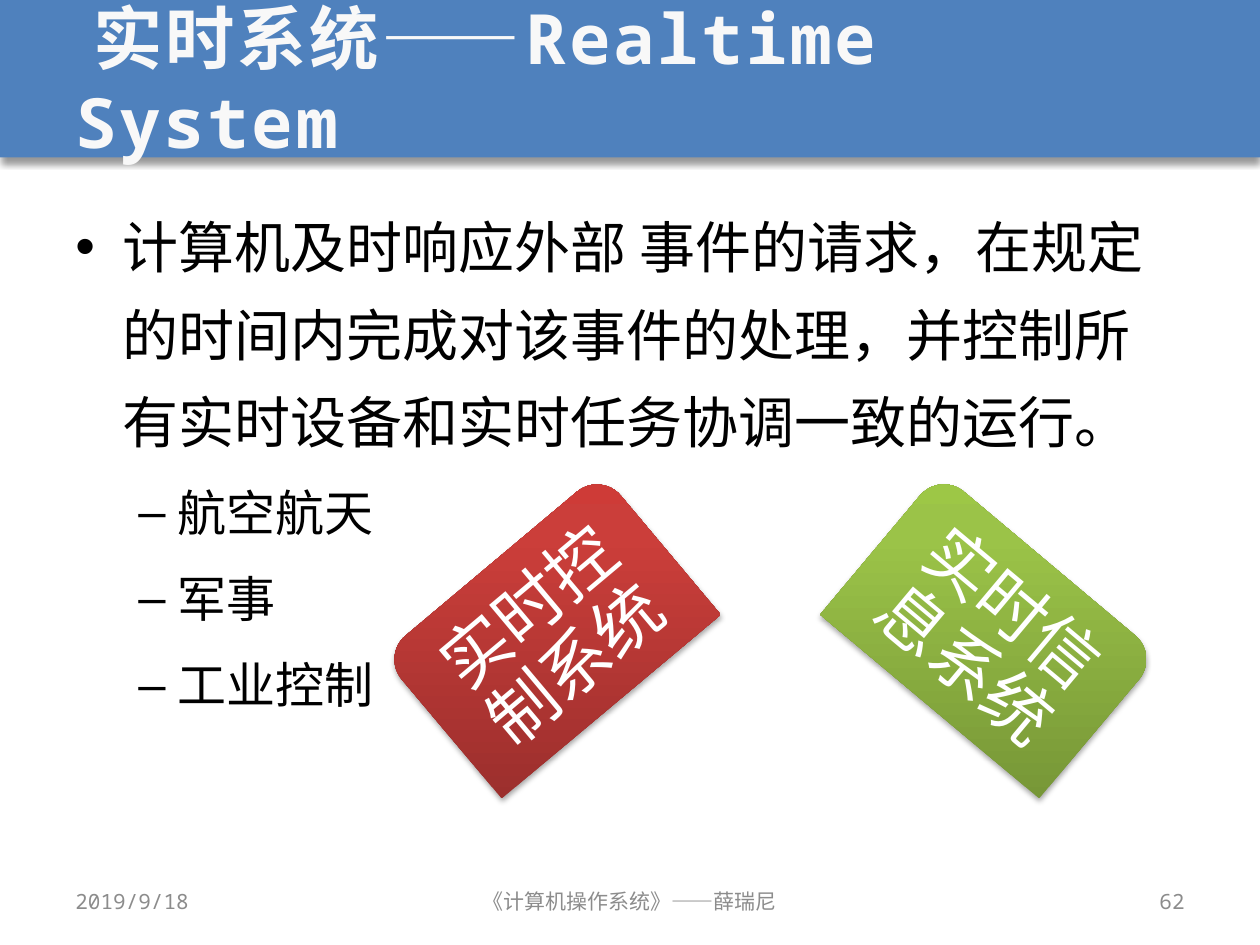
from dataclasses import dataclass

from lxml import etree
from pptx import Presentation, util as u
from pptx.dml.color import RGBColor
from pptx.enum import shapes, text
from pptx.oxml.ns import qn


@dataclass(frozen=True)
class Theme:
    mono: str = "Noto Sans Mono"
    sans: str = "Arial"
    band: str = "4F81BD"
    head: str = "F8F8F8"
    ink: str = "000000"
    gray: str = "8C8C8C"
    white: str = "FFFFFF"
    red: tuple = ((0, "9C2F2D"), (80, "CB3E3A"), (100, "CE3B37"))
    green: tuple = ((0, "779737"), (80, "9BC348"), (100, "9DC746"))
    title: float = 39.6
    body: float = 32
    sub: float = 28
    card: float = 39
    foot: float = 12


def apply(obj, form):
    for key, val in form.items():
        setattr(obj, key, val)


def node(up, tag, **attrs):
    return etree.SubElement(up, qn(tag), {k: str(v) for k, v in attrs.items()})


def tint(up, color, alpha=100):
    clr = node(up, "a:srgbClr", val=color)
    if alpha < 100:
        node(clr, "a:alpha", val=alpha * 1000)


class Deck:
    def __init__(self, theme):
        self.theme = theme
        self.prs = Presentation()
        apply(self.prs, {"slide_width": u.Pt(720), "slide_height": u.Pt(540)})
        self.slide = self.prs.slides.add_slide(self.prs.slide_layouts[6])

    def shape(self, kind, box, fill, shade, turn=0):
        shp = self.slide.shapes.add_shape(kind, *map(u.Pt, box))
        shp.rotation = turn
        if isinstance(fill, str):
            shp.fill.solid()
            shp.fill.fore_color.rgb = RGBColor.from_string(fill)
        else:
            self.blend(shp, fill)
        shp.line.fill.background()
        shp.shadow.inherit = False
        alpha, blur, dist = shade
        drop = node(shp._element.spPr.find(qn("a:effectLst")), "a:outerShdw",
                    blurRad=u.Pt(blur), dist=u.Pt(dist), dir=5400000, rotWithShape=0)
        tint(drop, self.theme.ink, alpha)

    def blend(self, shp, stops):
        grad = etree.Element(qn("a:gradFill"), rotWithShape="0")
        steps = node(grad, "a:gsLst")
        for pos, color in stops:
            tint(node(steps, "a:gs", pos=pos * 1000), color)
        node(grad, "a:lin", ang=16200000, scaled=0)
        shp._element.spPr.find(qn("a:prstGeom")).addnext(grad)

    def frame(self, box, turn=0, **form):
        shp = self.slide.shapes.add_textbox(*map(u.Pt, box))
        shp.rotation = turn
        apply(shp.text_frame, {"word_wrap": True, **form})
        return shp.text_frame

    def phrase(self, para, words, size, color, face, bold=False, track=0, **form):
        apply(para, form)
        run = para.add_run()
        run.text = words
        apply(run.font, {"size": u.Pt(size), "name": face, "bold": bold})
        run.font.color.rgb = RGBColor.from_string(color)
        if track:
            run._r.get_or_add_rPr().set("spc", str(int(track * 100)))

    def label(self, box, words, size, color, face, align, turn=0, pad=7.2, **form):
        tf = self.frame(box, turn, vertical_anchor=text.MSO_ANCHOR.MIDDLE,
                        margin_left=u.Pt(pad), margin_right=u.Pt(pad))
        self.phrase(tf.paragraphs[0], words, size, color, face, alignment=align, **form)

    def bullets(self, box, items):
        th = self.theme
        levels = ((th.body, "•", 27, 27), (th.sub, "–", 58.5, 22.5))
        tf = self.frame(box)
        for i, (level, words) in enumerate(items):
            size, mark, left, hang = levels[level]
            para = tf.add_paragraph() if i else tf.paragraphs[0]
            ppr = para._p.get_or_add_pPr()
            ppr.set("marL", str(u.Pt(left)))
            ppr.set("indent", str(-u.Pt(hang)))
            node(ppr, "a:buFont", typeface=th.sans)
            node(ppr, "a:buChar", char=mark)
            form = {"space_before": u.Pt(size * 0.2)} if i else {}
            self.phrase(para, words, size, th.ink, th.mono,
                        level=level, line_spacing=1.3, **form)

    def card(self, left, shift, turn, fill, words):
        th = self.theme
        self.shape(shapes.MSO_SHAPE.ROUND_2_SAME_RECTANGLE,
                   (left, 309.6, 163.4, 106.6), fill, (35, 3.1, 1.8), turn)
        self.label((left + shift, 313.9, 153.4, 101.5), words, th.card, th.white,
                   th.sans, text.PP_ALIGN.CENTER, turn, 11.5, line_spacing=0.9)


def main():
    th = Theme()
    deck = Deck(th)
    al = text.PP_ALIGN
    deck.shape(shapes.MSO_SHAPE.RECTANGLE, (0, 0, 720, 90), th.band, (40, 4, 3))
    deck.label((36, 0, 648, 90), " 实时系统——Realtime System", th.title, th.head,
               th.mono, al.LEFT, bold=True, track=1.5)
    deck.bullets((36, 106.6, 648, 383.8), (
        (0, "计算机及时响应外部 事件的请求，在规定的时间内完成对该事件的处理，"
            "并控制所有实时设备和实时任务协调一致的运行。"),
        (1, "航空航天"),
        (1, "军事"),
        (1, "工业控制"),
    ))
    for left, width, words, align in (
        (36, 168, "2019/9/18", al.LEFT),
        (246, 228, "《计算机操作系统》——薛瑞尼", al.CENTER),
        (516, 168, "62", al.RIGHT),
    ):
        deck.label((left, 500.5, width, 28.75), words, th.foot, th.gray, th.mono, align)
    deck.card(233.3, 6.5, 320, th.red, "实时控制系统")
    deck.card(483.8, 3.6, 40, th.green, "实时信息系统")
    deck.prs.save("out.pptx")


if __name__ == "__main__":
    main()
